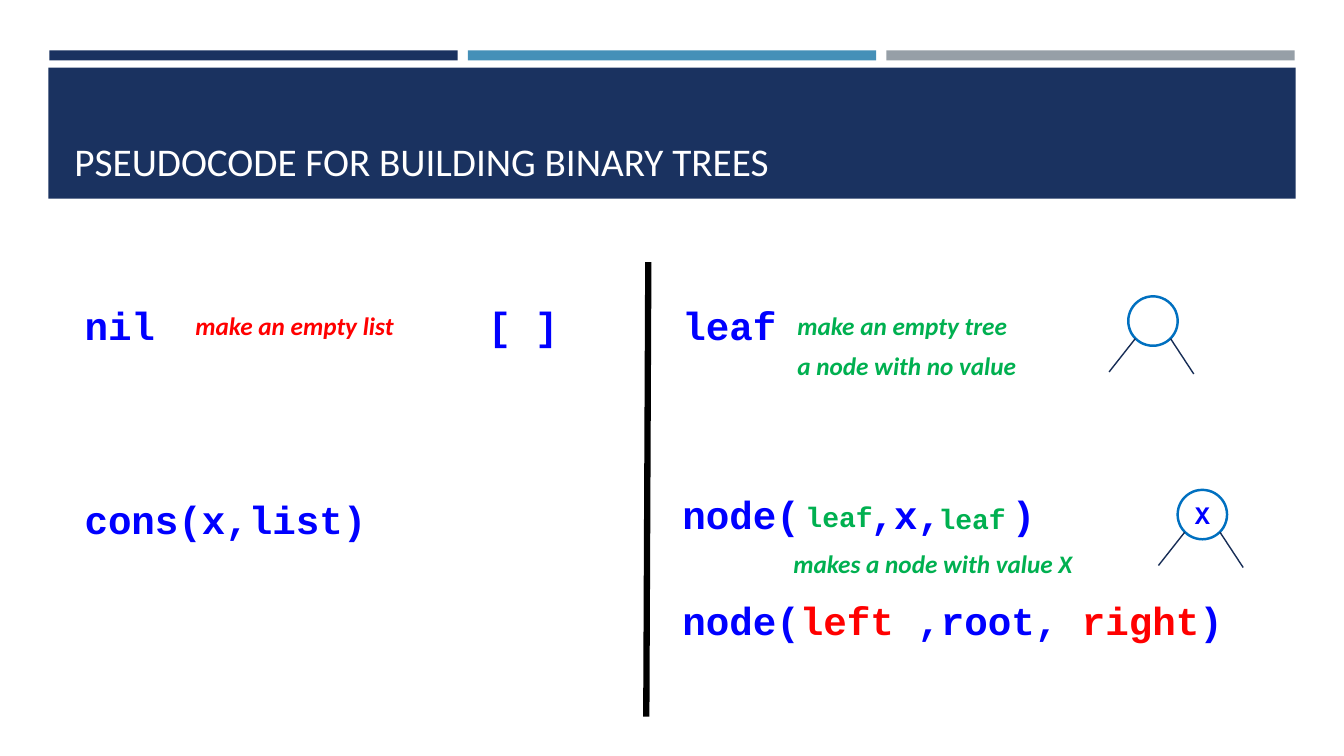
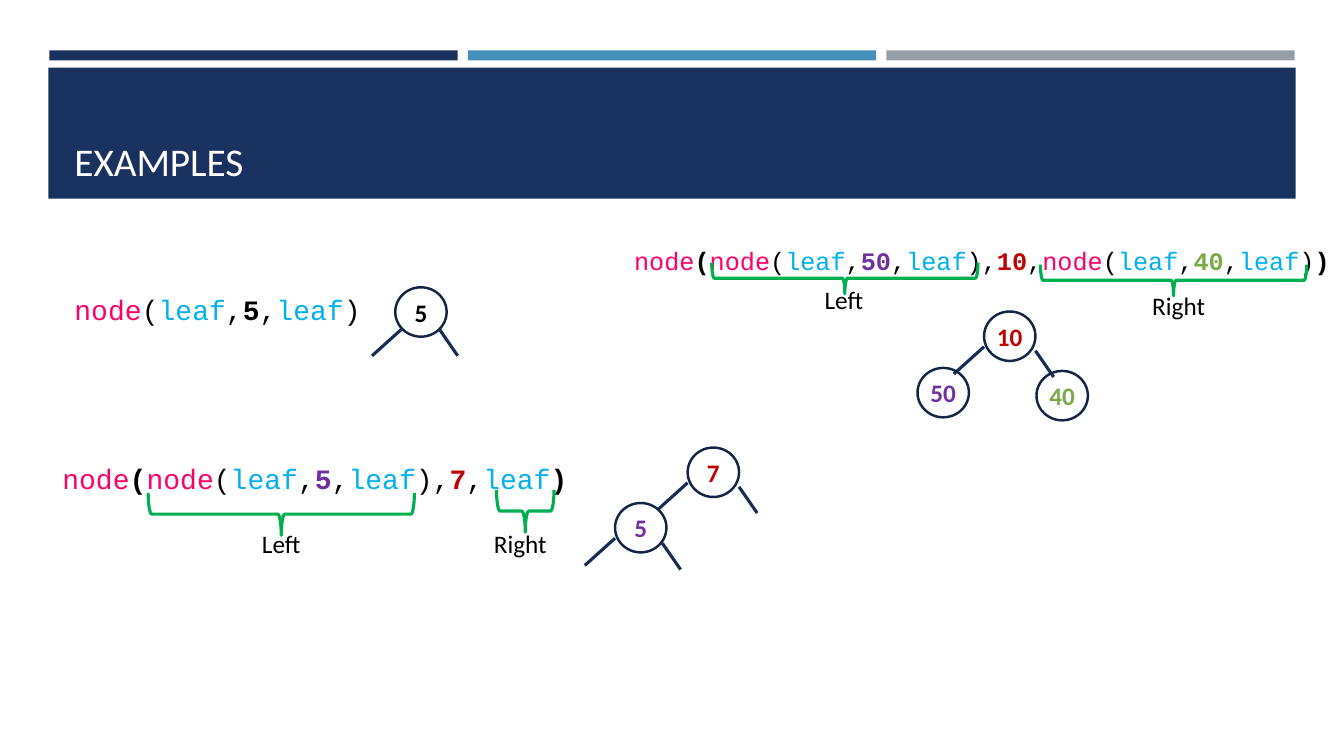
from dataclasses import dataclass

from lxml import etree
from pptx import Presentation
from pptx.dml.color import RGBColor
from pptx.enum import shapes, text
from pptx.oxml import ns
from pptx.util import Inches, Pt

NAVY = RGBColor(0x1A, 0x32, 0x60)
STEEL = RGBColor(0x45, 0x90, 0xB8)
GREY = RGBColor(0x96, 0x9F, 0xA7)
LEG = RGBColor(0x17, 0x2D, 0x56)
RING = RGBColor(0x13, 0x25, 0x47)
AZURE = RGBColor(0x00, 0x70, 0xC0)
WHITE = RGBColor(0xFF, 0xFF, 0xFF)
BLACK = RGBColor(0, 0, 0)
BLUE = RGBColor(0, 0, 0xFF)
RED = RGBColor(0xFF, 0, 0)
GREEN = RGBColor(0x00, 0xB0, 0x50)
PINK = RGBColor(0xFF, 0x00, 0x66)
CYAN = RGBColor(0x00, 0xB0, 0xF0)
PURPLE = RGBColor(0x70, 0x30, 0xA0)
CRIMSON = RGBColor(0xC0, 0, 0)
OLIVE = RGBColor(0x7B, 0xA9, 0x46)

BODY, MONO = "Calibri", "Courier New"
SHAPE = shapes.MSO_SHAPE


@dataclass
class Run:
    text: str
    color: RGBColor = BLACK
    bold: bool = False


@dataclass
class Label:
    x: float
    y: float
    w: float
    h: float
    runs: list[Run]
    size: int = 18
    font: str = BODY
    italic: bool = False
    tabs: tuple[float, ...] = ()


@dataclass
class Leg:
    x1: float
    y1: float
    x2: float
    y2: float


@dataclass
class Node:
    x: float
    y: float
    w: float
    run: Run
    legs: tuple[Leg, ...] = ()
    line: RGBColor = RING
    font: str = BODY
    weight: float = 2.25


@dataclass
class Brace:
    x: float  # centre
    y: float
    span: float
    depth: float
    label: Label


# Drawing
def fill_text(frame, runs: list[Run], size: int, font: str,
              italic: bool = False, tabs: tuple[float, ...] = ()) -> None:
    par = frame.paragraphs[0]
    if tabs:
        stops = etree.SubElement(par._p.get_or_add_pPr(), ns.qn("a:tabLst"))
        for stop in tabs:
            etree.SubElement(stops, ns.qn("a:tab"), pos=str(Inches(stop)), algn="l")
    par.font.size, par.font.name, par.font.italic = Pt(size), font, italic
    for item in runs:
        run = par.add_run()
        run.text = item.text
        run.font.bold = item.bold
        run.font.color.rgb = item.color


def add_label(slide, lab: Label, anchor=text.MSO_ANCHOR.TOP) -> None:
    box = slide.shapes.add_textbox(*map(Inches, (lab.x, lab.y, lab.w, lab.h)))
    frame = box.text_frame
    frame.word_wrap = bool(lab.tabs)
    frame.vertical_anchor = anchor
    fill_text(frame, lab.runs, lab.size, lab.font, lab.italic, lab.tabs)


def add_shape(slide, kind, x: float, y: float, w: float, h: float,
              fill: RGBColor | None = None, line: RGBColor | None = None,
              weight: float = 1.75):
    shape = slide.shapes.add_shape(kind, *map(Inches, (x, y, w, h)))
    shape.shadow.inherit = False
    if fill is None:
        shape.fill.background()
    else:
        shape.fill.solid()
        shape.fill.fore_color.rgb = fill
    if line is None:
        shape.line.fill.background()
    else:
        shape.line.color.rgb = line
        shape.line.width = Pt(weight)
    return shape


def add_line(slide, leg: Leg, color: RGBColor, weight: float) -> None:
    line = slide.shapes.add_connector(
        shapes.MSO_CONNECTOR.STRAIGHT,
        *map(Inches, (leg.x1, leg.y1, leg.x2, leg.y2)))
    line.line.color.rgb = color
    line.line.width = Pt(weight)
    etree.SubElement(line._element.spPr, ns.qn("a:effectLst"))


def add_node(slide, node: Node) -> None:
    ring = add_shape(slide, SHAPE.OVAL, node.x, node.y, node.w, 0.49, line=node.line)
    frame = ring.text_frame
    frame.margin_left = frame.margin_right = 0
    frame.margin_top = frame.margin_bottom = 0
    frame.word_wrap = False
    frame.vertical_anchor = text.MSO_ANCHOR.MIDDLE
    if node.run.text:
        frame.paragraphs[0].alignment = text.PP_ALIGN.CENTER
        fill_text(frame, [node.run], 18, node.font)
    for leg in node.legs:
        add_line(slide, Leg(node.x + leg.x1, node.y + leg.y1,
                            node.x + leg.x2, node.y + leg.y2), LEG, node.weight)


def add_brace(slide, brace: Brace) -> None:
    shape = add_shape(slide, SHAPE.LEFT_BRACE, brace.x - brace.depth / 2,
                      brace.y - brace.span / 2, brace.depth, brace.span,
                      line=GREEN, weight=2.25)
    shape.rotation = 270
    add_label(slide, brace.label)


def add_slide(deck, title: str):
    slide = deck.slides.add_slide(deck.slide_layouts[6])
    for i, color in enumerate((NAVY, STEEL, GREY)):
        add_shape(slide, SHAPE.RECTANGLE, 0.49 + i * 4.15, 0.5, 4.05, 0.1, color)
    add_shape(slide, SHAPE.RECTANGLE, 0.48, 0.67, 12.37, 1.3, NAVY)
    add_label(slide, Label(0.64, 0.77, 12.06, 1.11, [Run(title, WHITE)], 28),
              text.MSO_ANCHOR.BOTTOM)
    return slide


# Label styles
def code(x: float, y: float, w: float, *runs: Run,
         tabs: tuple[float, ...] = ()) -> Label:
    return Label(x, y, w, 0.57, list(runs), 28, MONO, tabs=tabs)


def blue(words: str) -> Run:
    return Run(words, BLUE, True)


def note(x: float, y: float, w: float, words: str, color: RGBColor = GREEN) -> Label:
    return Label(x, y, w, 0.4, [Run(words, color, True)], italic=True)


def side(x: float, y: float, w: float, words: str) -> Label:
    return Label(x, y, w, 0.4, [Run(words)])


# Expression parts
NODE, LEAF = Run("node", PINK), Run("leaf", CYAN)
OPEN, CLOSE, COMMA = Run("("), Run(")"), Run(",")
START, END = Run("(", bold=True), Run(")", bold=True)


def value(words: str, color: RGBColor = BLACK) -> Run:
    return Run(words, color, True)


def tree(root: Run) -> list[Run]:
    return [NODE, OPEN, LEAF, COMMA, root, COMMA, LEAF, CLOSE]


def build_code(deck) -> None:
    slide = add_slide(deck, "PSEUDOCODE FOR BUILDING BINARY TREES")
    add_line(slide, Leg(6.43, 2.6, 6.41, 7.11), BLACK, 4.5)

    char = 28 * 0.6 / 72
    red = [Run(word, RED, True) for word in ("left", "right")]
    small = [Label(x, y, 0.88, 0.44, [Run("leaf", GREEN, True)], 20, MONO)
             for x, y in ((7.89, 4.91), (9.21, 4.93))]
    for lab in (
        code(0.74, 2.94, 0.91, blue("nil")),
        note(1.84, 3.03, 2.31, "make an empty list", RED),
        code(4.74, 2.94, 0.91, blue("[ ]")),
        code(0.74, 4.86, 3.02, blue("cons(x,list)")),
        code(6.67, 2.94, 1.14, blue("leaf")),
        note(7.81, 3.03, 2.43, "make an empty tree"),
        note(7.81, 3.43, 2.51, "a node with no value"),
        code(6.67, 4.82, 3.9, blue("node(\t,x,\t)"), tabs=(8 * char, 14 * char)),
        note(7.77, 5.39, 3.16, "makes a node with value X"),
        *small,
        code(6.67, 5.87, 5.6, blue("node("), red[0], blue(" ,root, "),
             red[1], blue(")")),
    ):
        add_label(slide, lab)

    legs = (Leg(0.07, 0.42, -0.19, 0.75), Leg(0.42, 0.42, 0.65, 0.77))
    for x, y, word in ((11.19, 2.94, ""), (11.68, 4.86, "X")):
        add_node(slide, Node(x, y, 0.49, blue(word), legs, AZURE, MONO, 1))


def build_samples(deck) -> None:
    slide = add_slide(deck, "EXAMPLES")
    five, seven = value("5", PURPLE), value("7", CRIMSON)
    ten, fifty, forty = value("10", CRIMSON), value("50", PURPLE), value("40", OLIVE)

    # Expressions
    for lab in (
        Label(0.64, 2.85, 3.06, 0.44, tree(value("5")), 20, MONO),
        Label(0.52, 4.53, 5.25, 0.44,
              [NODE, START, *tree(five), COMMA, seven, COMMA, LEAF, END], 20, MONO),
        Label(6.19, 2.38, 7.14, 0.4,
              [NODE, START, *tree(fifty), COMMA, ten, COMMA, *tree(forty), END],
              18, MONO),
    ):
        add_label(slide, lab)

    # Subtree braces
    for brace in (
        Brace(2.79, 5.1, 2.64, 0.42, side(2.5, 5.19, 0.59, "Left")),
        Brace(5.21, 5.07, 0.57, 0.42, side(4.8, 5.19, 0.73, "Right")),
        Brace(8.38, 2.76, 2.64, 0.31, side(8.08, 2.77, 0.59, "Left")),
        Brace(11.64, 2.78, 2.64, 0.31, side(11.33, 2.83, 0.73, "Right")),
    ):
        add_brace(slide, brace)

    # Trees
    legs = (Leg(0, 0.35, -0.3, 0.62), Leg(0.51, 0.39, 0.69, 0.65))
    tucked = (Leg(0.07, 0.41, -0.23, 0.68), Leg(0.44, 0.42, 0.62, 0.68))
    low = (legs[0], Leg(0.47, 0.4, 0.65, 0.66))
    for x, y, run, pair in (
        (3.92, 2.85, value("5"), tucked),
        (6.82, 4.44, seven, legs),
        (6.1, 4.99, five, low),
        (9.76, 3.09, ten, legs),
        (9.1, 3.65, fifty, ()),
        (10.28, 3.68, forty, ()),
    ):
        add_node(slide, Node(x, y, 0.51, run, pair))


def main() -> None:
    deck = Presentation()
    deck.slide_width, deck.slide_height = Inches(13.33), Inches(7.5)
    build_code(deck)
    build_samples(deck)
    deck.save("out.pptx")


if __name__ == "__main__":
    main()
